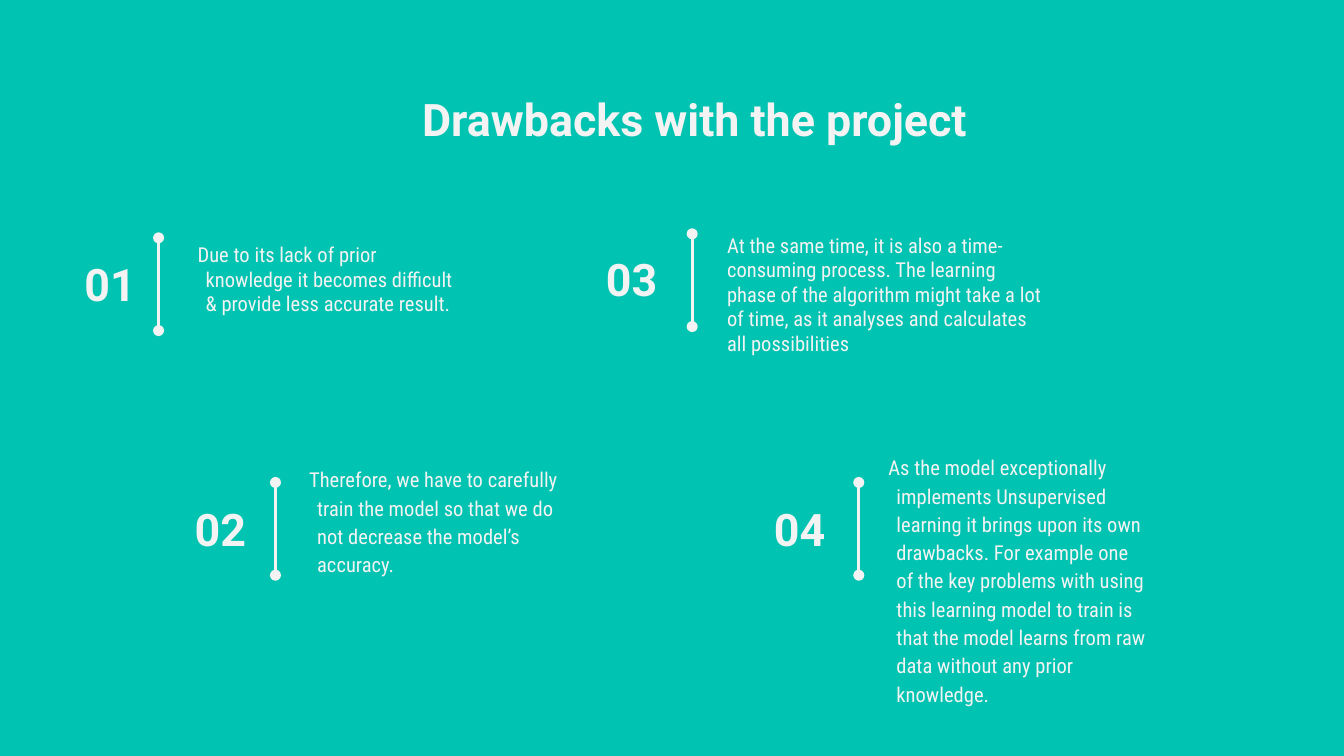
from pptx import Presentation
from pptx.dml.color import RGBColor
from pptx.enum.shapes import MSO_CONNECTOR as Conn
from pptx.enum.text import MSO_ANCHOR as Anchor, MSO_AUTO_SIZE as Auto, PP_ALIGN as Align
from pptx.oxml.ns import qn
from pptx.util import Inches, Pt
from lxml import etree

TEAL = RGBColor(0x00, 0xC3, 0xB1)
PALE = RGBColor(0xF3, 0xF3, 0xF3)
BOLD = {"name": "Roboto", "size": Pt(24), "bold": True}
BODY = {"name": "Roboto Condensed", "size": Pt(11), "bold": False}


def place(shape, left, top, width, height):
    shape.left, shape.top = Inches(left), Inches(top)
    shape.width, shape.height = Inches(width), Inches(height)


def write(shape, text, look, anchor, align, pad):
    frame = shape.text_frame
    frame.text = text
    frame.word_wrap = True
    frame.auto_size = Auto.NONE
    frame.vertical_anchor = anchor
    frame.margin_left = frame.margin_right = Inches(0.1)
    frame.margin_top = frame.margin_bottom = Inches(pad)
    para = frame.paragraphs[0]
    para.alignment = align
    para.space_before = Pt(0)
    font = para.runs[0].font
    for key, value in look.items():
        setattr(font, key, value)
    font.color.rgb = PALE
    return para


# Widescreen slide: the comparison layout has a title and four bodies
deck = Presentation()
deck.slide_width = Inches(10)
deck.slide_height = Inches(10 * 9 / 16)
slide = deck.slides.add_slide(deck.slide_layouts[4])
fill = slide.background.fill
fill.solid()
fill.fore_color.rgb = TEAL

# Title
title = slide.shapes.title
place(title, 3.04, 0.63, 5, 0.74)
write(title, "Drawbacks with the project", BOLD, Anchor.TOP, Align.LEFT, 0.05)

# Points: number, number place, line place, body place, hang, line spacing, text
points = [
    ("01", (0.45, 1.88), (1.18, 1.77), (0.93, 1.7), True, 1.0,
     "Due to its lack of prior knowledge it becomes difficult & provide less "
     "accurate result."),
    ("02", (1.27, 3.7), (2.05, 3.59), (1.76, 3.35), True, 1.15,
     "Therefore, we have to carefully train the model so that we do not "
     "decrease the model’s accuracy."),
    ("03", (4.33, 1.84), (5.15, 1.74), (5.31, 1.63), False, 1.0,
     "At the same time, it is also a time-consuming process. The learning "
     "phase of the algorithm might take a lot of time, as it analyses and "
     "calculates all possibilities"),
    ("04", (5.58, 3.7), (6.39, 3.59), (6.07, 3.26), True, 1.15,
     "As the model exceptionally implements Unsupervised learning it brings "
     "upon its own drawbacks. For example one of the key problems with using "
     "this learning model to train is that the model learns from raw data "
     "without any prior knowledge."),
]
bodies = [b for b in slide.placeholders if b.placeholder_format.idx in (1, 2, 3, 4)]

for body, (num, spot, start, home, hang, gap, text) in zip(bodies, points):
    # Body text, with a slight hanging indent
    place(body, *home, 2.56, 0.71)
    para = write(body, text, BODY, Anchor.TOP, Align.LEFT, 0.1)
    para.line_spacing = gap
    props = para._p.get_or_add_pPr()
    props.set("marL", str(Inches(0.5 if hang else 0)))
    props.set("indent", str(Inches(-0.06 if hang else 0)))
    etree.SubElement(props, qn("a:buNone"))

    # Number
    label = slide.shapes.add_textbox(0, 0, 0, 0)
    place(label, *spot, 0.66, 0.46)
    write(label, num, BOLD, Anchor.MIDDLE, Align.RIGHT, 0.1)

    # Line with round ends
    x, y = start
    line = slide.shapes.add_connector(
        Conn.STRAIGHT, Inches(x), Inches(y), Inches(x), Inches(y + 0.69))
    line.line.color.rgb = PALE
    line.line.width = Pt(1.5)
    stroke = line.line._get_or_add_ln()
    for end in ("a:headEnd", "a:tailEnd"):
        etree.SubElement(stroke, qn(end), type="oval")
    etree.SubElement(line._element.spPr, qn("a:effectLst"))

deck.save("out.pptx")
